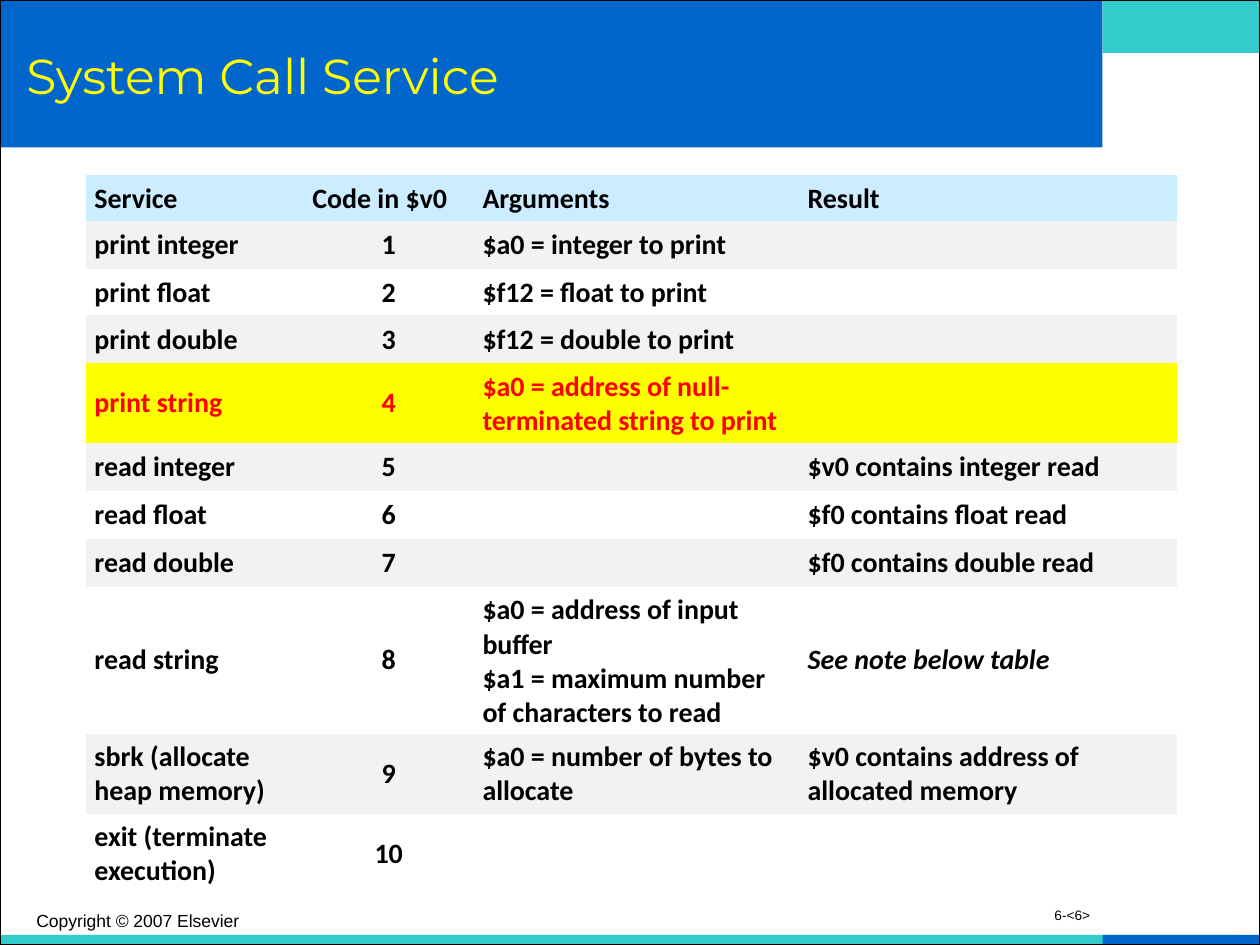
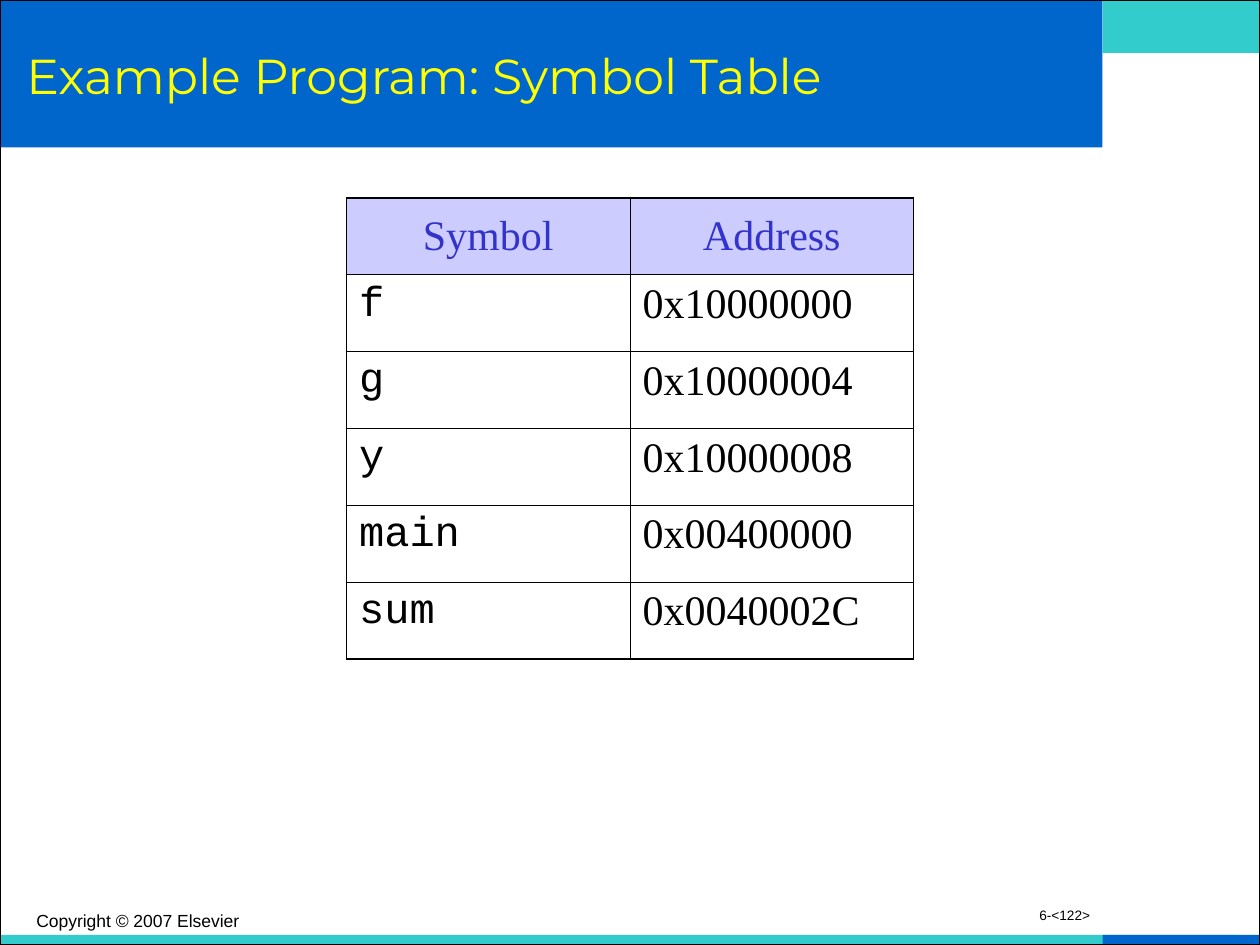
from dataclasses import dataclass

from lxml.etree import SubElement
from pptx import Presentation
from pptx.dml.color import RGBColor
from pptx.enum.shapes import MSO_SHAPE
from pptx.enum.text import MSO_ANCHOR as Anchor, MSO_AUTO_SIZE as AutoSize, PP_ALIGN as Align
from pptx.oxml.ns import qn
from pptx.util import Inches, Pt

NO_TABLE_STYLE = "{2D5ABB26-0587-4C30-8999-92F81FD0307C}"


@dataclass(frozen=True)
class Theme:
    blue: str = "0066CC"
    teal: str = "33CCCC"
    black: str = "000000"
    red: str = "FF0000"
    yellow: str = "FFFF00"
    pale_blue: str = "CCECFF"
    grey: str = "F2F2F2"
    lavender: str = "CCCCFF"
    indigo: str = "3333CC"
    title_font: str = "Montserrat"
    footer_font: str = "Arial"
    service_font: str = "Calibri"
    symbol_font: str = "Courier New"
    address_font: str = "Times New Roman"
    title_size: float = 28
    service_size: float = 16
    symbol_size: float = 24
    footer_size: float = 10
    number_size: float = 7.8
    frame_line: float = 0.75
    outer_line: float = 1.08
    inner_line: float = 0.45


class Deck:
    def __init__(self, theme):
        self.theme = theme
        self.presentation = Presentation()
        self.presentation.slide_width = Inches(10)
        self.presentation.slide_height = Inches(7.5)
        self.layout = self.presentation.slide_layouts[5]
        self.slide = None

    def add_slide(self, title, number):
        first = self.slide is None
        self.slide = self.presentation.slides.add_slide(self.layout)
        if first:
            self.add_bands()
        self.add_title(title)
        self.add_footer("Copyright © 2007 Elsevier", 0.19, 3.17, self.theme.footer_size)
        paragraph = self.add_footer(f"6-<{number}>", 6.67, 2.08, self.theme.number_size)
        paragraph.alignment = Align.RIGHT
        paragraph.line_spacing = 0.8

    def add_bands(self):
        """Draw the bands and frame, then move them to the layout that all slides share."""
        theme = self.theme
        bands = [
            self.add_rectangle(8.75, 0, 1.25, 0.42, fill=theme.teal),
            self.add_rectangle(0, 7.42, 9.83, 0.08, fill=theme.teal),
            self.add_rectangle(8.75, 7.42, 1.25, 0.08, fill=theme.blue),
            self.add_rectangle(0, 0, 8.75, 1.17, fill=theme.blue),
            self.add_rectangle(0, 0, 10, 7.5, line=theme.black),
        ]
        for index, band in enumerate(bands):
            band.element.find(".//" + qn("p:cNvPr")).set("id", str(100 + index))
            self.layout.shapes.element.insert(2 + index, band.element)

    def add_rectangle(self, left, top, width, height, fill=None, line=None):
        shape = self.slide.shapes.add_shape(
            MSO_SHAPE.RECTANGLE, Inches(left), Inches(top), Inches(width), Inches(height))
        shape.shadow.inherit = False
        self.paint(shape.fill, fill)
        self.paint(shape.line.fill, line)
        if line:
            shape.line.width = Pt(self.theme.frame_line)
        return shape

    def add_title(self, text):
        title = self.slide.shapes.title
        title.left, title.top = Inches(0.11), Inches(0.11)
        title.width, title.height = Inches(8.5), Inches(0.97)
        frame = title.text_frame
        frame.text = text
        frame.auto_size = AutoSize.NONE
        frame.vertical_anchor = Anchor.MIDDLE
        paragraph = frame.paragraphs[0]
        paragraph.alignment = Align.LEFT
        self.set_font(paragraph, self.theme.title_font, self.theme.title_size, self.theme.yellow)

    def add_footer(self, text, left, width, size):
        box = self.slide.shapes.add_textbox(
            Inches(left), Inches(7.17), Inches(width), Inches(0.25))
        box.text_frame.word_wrap = True
        box.text_frame.text = text
        paragraph = box.text_frame.paragraphs[0]
        self.set_font(paragraph, self.theme.footer_font, size, self.theme.black)
        return paragraph

    def add_table(self, left, top, widths, heights):
        """Add an unstyled table with the given column widths and row heights."""
        frame = self.slide.shapes.add_table(
            len(heights), len(widths), Inches(left), Inches(top),
            Inches(sum(widths)), Inches(sum(heights)))
        frame.element.find(".//" + qn("a:tableStyleId")).text = NO_TABLE_STYLE
        table = frame.table
        table.first_row = table.horz_banding = False
        for column, width in zip(table.columns, widths):
            column.width = Inches(width)
        for row, height in zip(table.rows, heights):
            row.height = Inches(height)
        return table

    def fill_cell(self, cell, text, font, size, color, fill=None, align=Align.LEFT,
                  anchor=Anchor.MIDDLE, margin=0.1, bold=False, italic=False):
        cell.text = text
        cell.vertical_anchor = anchor
        cell.margin_left = cell.margin_right = Inches(margin)
        self.paint(cell.fill, fill)
        for paragraph in cell.text_frame.paragraphs:
            paragraph.alignment = align
            self.set_font(paragraph, font, size, color, bold, italic)

    def add_borders(self, table):
        """Rule every cell, with heavier lines round the outside."""
        theme = self.theme
        last_row, last_column = len(table.rows) - 1, len(table.columns) - 1
        for r, row in enumerate(table.rows):
            for c, cell in enumerate(row.cells):
                outside = {"L": c == 0, "R": c == last_column, "T": r == 0, "B": r == last_row}
                properties = cell._tc.get_or_add_tcPr()
                for index, (side, outer) in enumerate(outside.items()):
                    width = theme.outer_line if outer else theme.inner_line
                    line = SubElement(properties, qn(f"a:ln{side}"), w=str(Pt(width)))
                    solid = SubElement(line, qn("a:solidFill"))
                    SubElement(solid, qn("a:srgbClr"), val=theme.black)
                    properties.insert(index, line)

    @staticmethod
    def paint(fill, color):
        if color:
            fill.solid()
            fill.fore_color.rgb = RGBColor.from_string(color)
        else:
            fill.background()

    @staticmethod
    def set_font(paragraph, name, size, color, bold=False, italic=False):
        font = paragraph.font
        font.name, font.size = name, Pt(size)
        font.bold, font.italic = bold, italic
        font.color.rgb = RGBColor.from_string(color)


SERVICES = [
    ("Service", "Code in $v0", "Arguments", "Result"),
    ("print integer", "1", "$a0 = integer to print", ""),
    ("print float", "2", "$f12 = float to print", ""),
    ("print double", "3", "$f12 = double to print", ""),
    ("print string", "4", "$a0 = address of null-terminated string to print", ""),
    ("read integer", "5", "", "$v0 contains integer read"),
    ("read float", "6", "", "$f0 contains float read"),
    ("read double", "7", "", "$f0 contains double read"),
    ("read string", "8",
     "$a0 = address of input buffer\v$a1 = maximum number of characters to read",
     "See note below table"),
    ("sbrk (allocate\nheap memory)", "9", "$a0 = number of bytes to allocate",
     "$v0 contains address of allocated memory"),
    ("exit (terminate\nexecution)", "10", "", ""),
]
SERVICE_HEIGHTS = [0.34, 0.38, 0.33, 0.38, 0.6, 0.38, 0.38, 0.38, 1.13, 0.6, 0.6]
HIGHLIGHTED_ROW = 4
NOTE = "See note below table"

SYMBOLS = [
    ("Symbol", "Address"),
    ("f", "0x10000000"),
    ("g", "0x10000004"),
    ("y", "0x10000008"),
    ("main", "0x00400000"),
    ("sum", "0x0040002C"),
]


def add_system_calls(deck):
    theme = deck.theme
    deck.add_slide("System Call Service", 6)
    table = deck.add_table(0.68, 1.39, [1.73, 1.35, 2.58, 3], SERVICE_HEIGHTS)
    for r, texts in enumerate(SERVICES):
        color, fill = theme.black, theme.grey if r % 2 else None
        if r == 0:
            fill = theme.pale_blue
        elif r == HIGHLIGHTED_ROW:
            color, fill = theme.red, theme.yellow
        for c, text in enumerate(texts):
            deck.fill_cell(
                table.cell(r, c), text, theme.service_font, theme.service_size, color, fill,
                align=Align.CENTER if r and c == 1 else Align.LEFT,
                margin=0.07, bold=True, italic=text == NOTE)


def add_symbol_table(deck):
    theme = deck.theme
    deck.add_slide("Example Program: Symbol Table", 122)
    table = deck.add_table(2.75, 1.57, [2.25] * 2, [0.61] * len(SYMBOLS))
    for c, heading in enumerate(SYMBOLS[0]):
        deck.fill_cell(table.cell(0, c), heading, theme.address_font, theme.symbol_size,
                       theme.indigo, theme.lavender, align=Align.CENTER)
    for r, texts in enumerate(SYMBOLS[1:], start=1):
        for c, font in enumerate((theme.symbol_font, theme.address_font)):
            deck.fill_cell(table.cell(r, c), texts[c], font, theme.symbol_size,
                           theme.black, anchor=Anchor.TOP)
    deck.add_borders(table)


def main():
    deck = Deck(Theme())
    add_system_calls(deck)
    add_symbol_table(deck)
    deck.presentation.save("out.pptx")


if __name__ == "__main__":
    main()
